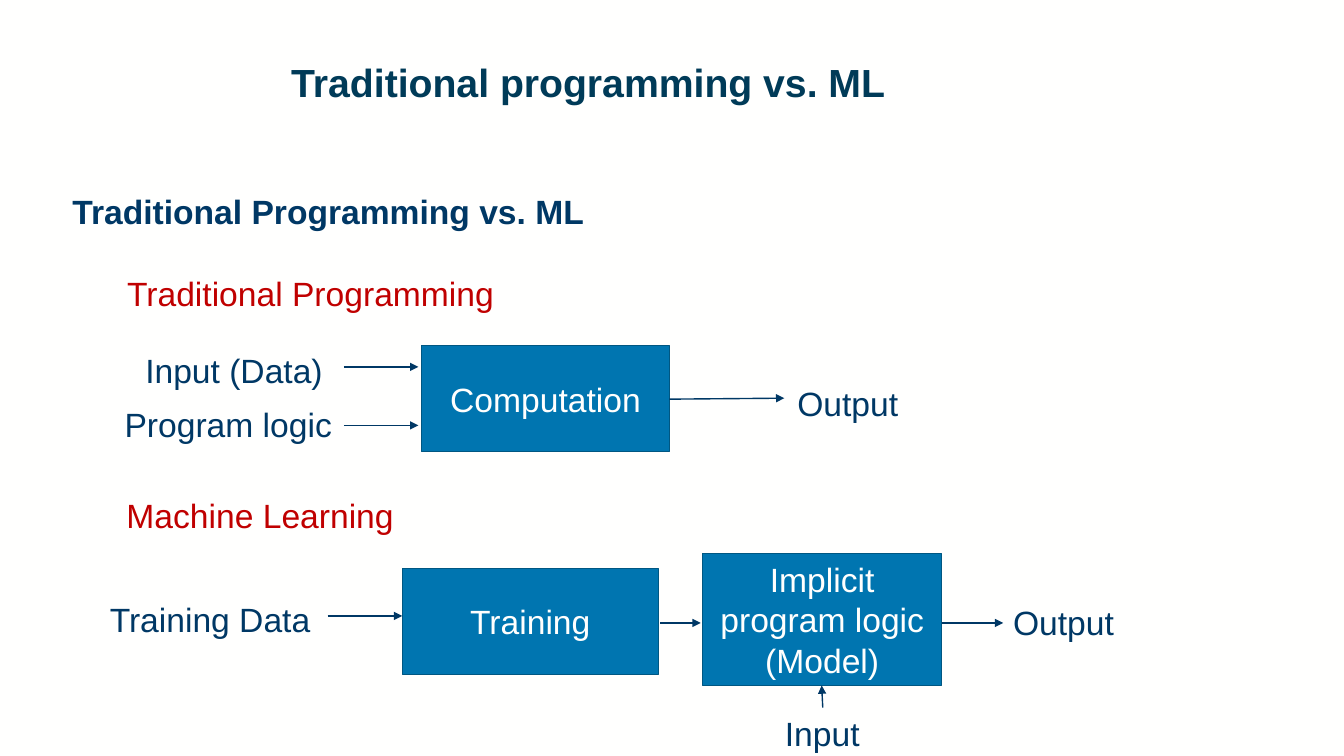
"""Build a slide comparing traditional programming with machine learning."""
import pptx
import pptx.dml.color
import pptx.enum.shapes
import pptx.enum.text
import pptx.oxml.ns
import pptx.util
from lxml import etree

WIDTH, HEIGHT = 13.33, 7.5
FONT, BODY_SIZE, TITLE_SIZE = "Arial", 24, 28
COLORS = {"paper": "FFFFFE", "title": "003B58", "navy": "003865",
          "red": "C00000", "blue": "0075B0", "edge": "005782"}

# Positions are percentages of the slide's width and height.
LABEL_HEIGHT = 6.67
TITLE = ("Traditional programming vs. ML", 20.93, 7.73, 75.54, 12.93)
HEADING = ("Traditional Programming vs. ML", 4.65, 24.53, 51.31)
SECTIONS = [("Traditional Programming", 8.55, 35.47, 29.11),
            ("Machine Learning", 8.55, 64.8, 21.6)]
LABELS = [("Input (Data)", 6.3, 45.6, 18.45, "RIGHT"),
          ("Program logic", 6.3, 52.8, 19.13, "RIGHT"),
          ("Output", 58.59, 50, 9.08, "LEFT"),
          ("Training Data", 7.43, 78.53, 16.8, "LEFT"),
          ("Input", 56.34, 93.6, 9.68, "CENTER"),
          ("Output", 74.64, 78.93, 12.45, "LEFT")]
STEPS = [("Computation", 31.36, 45.73, 18.45, 14),
         ("Training", 29.93, 75.2, 19.05, 14),
         ("Implicit program logic (Model)", 52.29, 73.2, 17.78, 17.47)]
ARROWS = [(25.58, 48.53, 31.13, 48.53), (25.58, 56.27, 31.13, 56.27),
          (49.81, 52.8, 58.36, 52.67), (24.38, 81.47, 29.93, 81.47),
          (49.14, 82.4, 52.14, 82.4), (70.07, 82.4, 74.64, 82.4),
          (61.22, 93.6, 61.14, 90.67)]


def rgb(name):
    return pptx.dml.color.RGBColor.from_string(COLORS[name])


def place(x, y, x2, y2):
    return [pptx.util.Inches(share * side / 100)
            for share, side in zip((x, y, x2, y2), (WIDTH, HEIGHT) * 2)]


def write(tf, text, color, align="LEFT", size=BODY_SIZE, bold=False):
    tf.text = text
    p = tf.paragraphs[0]
    p.alignment = getattr(pptx.enum.text.PP_ALIGN, align)
    font = p.runs[0].font
    font.name, font.size, font.bold = FONT, pptx.util.Pt(size), bold
    font.color.rgb = rgb(color)


def add_label(s, text, x, y, w, align="LEFT", color="navy", h=LABEL_HEIGHT,
              size=BODY_SIZE, bold=False, wrap=True):
    tf = s.shapes.add_textbox(*place(x, y, w, h)).text_frame
    tf.word_wrap = wrap
    write(tf, text, color, align, size, bold)
    return tf


def add_step(s, text, *box):
    sp = s.shapes.add_shape(pptx.enum.shapes.MSO_SHAPE.RECTANGLE, *place(*box))
    sp.shadow.inherit = False
    sp.fill.solid()
    sp.fill.fore_color.rgb = rgb("blue")
    sp.line.color.rgb = rgb("edge")
    sp.line.width = pptx.util.Pt(1)
    sp.text_frame.word_wrap = True
    sp.text_frame.vertical_anchor = pptx.enum.text.MSO_ANCHOR.MIDDLE
    write(sp.text_frame, text, "paper", "CENTER")


def add_arrow(s, *ends):
    line = s.shapes.add_connector(pptx.enum.shapes.MSO_CONNECTOR.STRAIGHT, *place(*ends))
    line.line.color.rgb = rgb("navy")
    line.line.width = pptx.util.Pt(1)
    qn = pptx.oxml.ns.qn
    etree.SubElement(line.line._get_or_add_ln(), qn("a:tailEnd"), type="triangle")
    etree.SubElement(line._element.spPr, qn("a:effectLst"))


def main():
    prs = pptx.Presentation()
    prs.slide_width = pptx.util.Inches(WIDTH)
    prs.slide_height = pptx.util.Inches(HEIGHT)
    s = prs.slides.add_slide(prs.slide_layouts[6])
    s.background.fill.solid()
    s.background.fill.fore_color.rgb = rgb("paper")

    text, x, y, w, h = TITLE
    tf = add_label(s, text, x, y, w, color="title", h=h, size=TITLE_SIZE, bold=True)
    tf.paragraphs[0].line_spacing = 0.9
    add_label(s, *HEADING, bold=True)
    for section in SECTIONS:
        add_label(s, *section, align="CENTER", color="red", wrap=False)
    for label in LABELS:
        add_label(s, *label)
    for step in STEPS:
        add_step(s, *step)
    for arrow in ARROWS:
        add_arrow(s, *arrow)
    prs.save("out.pptx")


if __name__ == "__main__":
    main()
